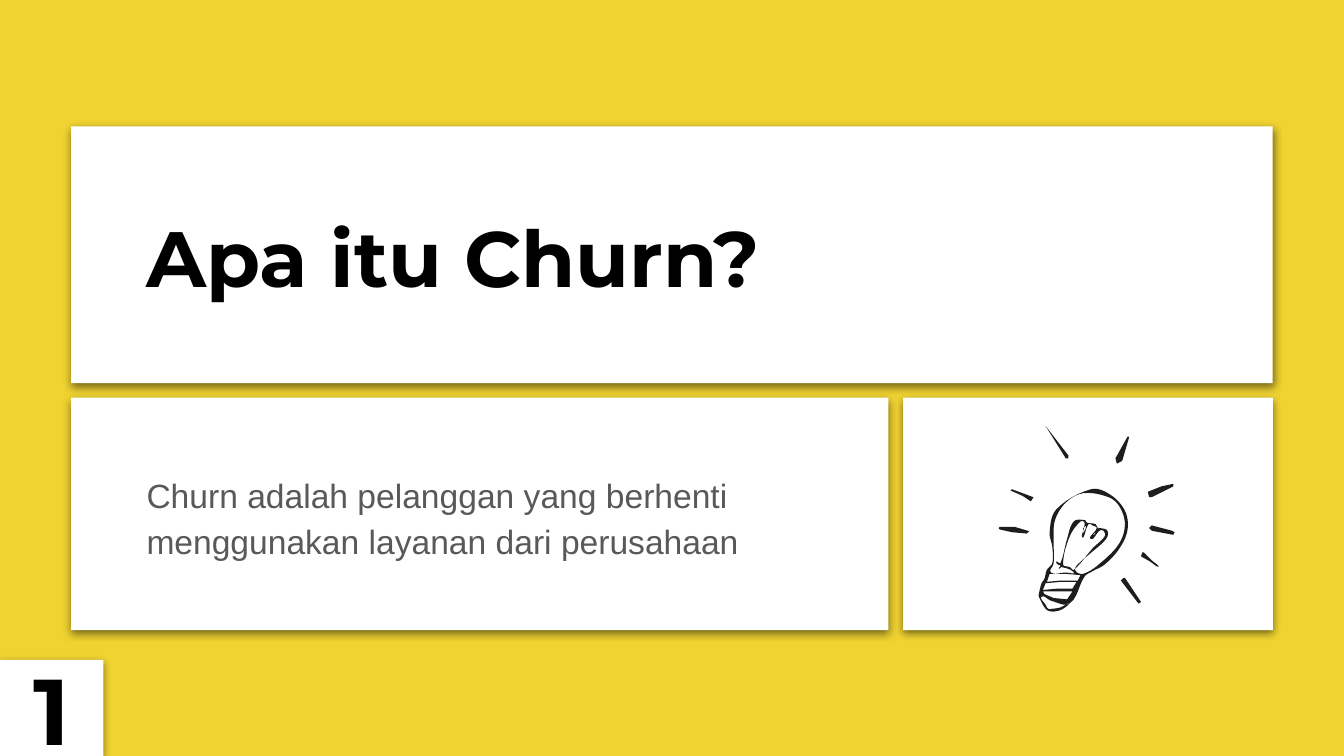
import math
from dataclasses import dataclass

import pptx
import pptx.dml.color
import pptx.enum.shapes
import pptx.enum.text
import pptx.oxml
import pptx.oxml.ns
import pptx.util
from pptx.util import Inches

SHAPE = pptx.enum.shapes.MSO_SHAPE
ALIGN = pptx.enum.text.PP_ALIGN


@dataclass(frozen=True)
class Theme:
    background: str = "F0D331"
    card: str = "FFFFFF"
    ink: str = "1D1D1B"
    heading: str = "000000"
    body: str = "595959"
    heading_font: str = "Montserrat"
    body_font: str = "Arial"
    title_size: int = 42
    body_size: int = 18
    number_size: int = 50


THEME = Theme()

PAGE_WIDTH = 10
PAGE_HEIGHT = PAGE_WIDTH * 9 / 16
LEFT, RIGHT = 0.53, 9.47
TOP_ROW, TOP_HEIGHT = 0.94, 1.91
LOWER_ROW, LOWER_HEIGHT = 2.96, 1.73
ICON_CARD_LEFT, GAP = 6.72, 0.11
TEXT_LEFT, TEXT_WIDTH = 0.99, 5.25

RAYS = [
    [(8.4, 3.25), (8.39, 3.25), (8.3, 3.41), (8.31, 3.45), (8.35, 3.43), (8.4, 3.26)],
    [(8.73, 3.6), (8.64, 3.62), (8.54, 3.66), (8.55, 3.7), (8.57, 3.7), (8.73, 3.62)],
    [(7.66, 3.95), (7.65, 3.95), (7.55, 3.92), (7.44, 3.92), (7.43, 3.93),
     (7.44, 3.94), (7.53, 3.96), (7.64, 3.97)],
    [(7.69, 3.7), (7.53, 3.64), (7.52, 3.65), (7.61, 3.69), (7.67, 3.73)],
    [(7.78, 3.17), (7.93, 3.41), (7.95, 3.41), (7.95, 3.39)],
    [(8.72, 3.95), (8.57, 3.91), (8.55, 3.93), (8.57, 3.95), (8.73, 3.98), (8.74, 3.96)],
    [(8.36, 4.3), (8.34, 4.32), (8.47, 4.49), (8.49, 4.48), (8.37, 4.3)],
    [(8.5, 4.11), (8.49, 4.14), (8.56, 4.18), (8.6, 4.21), (8.62, 4.22),
     (8.62, 4.21), (8.57, 4.17), (8.51, 4.11)],
]

BULB_OUTLINE = [
    (8.26, 3.68), (8.12, 3.64), (7.86, 3.79), (7.81, 3.96), (7.83, 4.07),
    (7.83, 4.19), (7.79, 4.24), (7.77, 4.31), (7.75, 4.34), (7.73, 4.42),
    (7.73, 4.44), (7.78, 4.53), (7.82, 4.55), (7.89, 4.54), (7.95, 4.5),
    (7.95, 4.49), (7.89, 4.52), (7.83, 4.53), (7.8, 4.53), (7.78, 4.5),
    (7.75, 4.44), (7.82, 4.47), (7.96, 4.49), (8.07, 4.29), (8.13, 4.25),
    (8.22, 4.2), (8.33, 4.08), (8.39, 3.94), (8.37, 3.8),
]
GLASS = [
    (8.25, 3.7), (8.33, 3.77), (8.37, 3.9), (8.33, 4.04), (8.2, 4.18), (8.06, 4.27),
    (8, 4.24), (8.04, 4.18), (8.11, 4.12), (8.23, 4.01), (8.24, 3.95),
    (8.19, 3.93), (8.17, 3.93), (8.15, 3.9), (8.09, 3.89), (8.07, 3.87),
    (7.99, 3.88), (7.94, 4.01), (7.89, 4.19), (7.86, 4.18), (7.87, 4.2),
    (7.89, 4.21), (7.88, 4.23), (7.9, 4.22), (7.99, 4.26), (7.93, 4.26),
    (7.82, 4.26), (7.84, 4.19), (7.84, 4.02), (7.85, 3.87), (7.93, 3.74), (8.06, 3.67),
]
FILAMENT = [
    (8.21, 3.95), (8.22, 3.99), (8.13, 4.08), (7.99, 4.24), (7.96, 4.22),
    (7.91, 4.2), (7.96, 3.99), (8.04, 3.88), (8.07, 3.89), (8.05, 3.99),
    (8.06, 4), (8.1, 3.9), (8.13, 3.91), (8.16, 3.93), (8.11, 4),
    (8.13, 4.01), (8.18, 3.95),
]
FILAMENT_LOOPS = [
    [(8.16, 3.96), (8.13, 3.99), (8.14, 3.97)],
    [(8.08, 3.91), (8.08, 3.93), (8.06, 3.97), (8.06, 3.93)],
]
THREADS = [
    [(8.04, 4.28), (8.02, 4.32), (7.89, 4.32), (7.79, 4.33), (7.81, 4.27), (7.93, 4.27)],
    [(8.01, 4.33), (7.98, 4.38), (7.87, 4.38), (7.76, 4.39), (7.78, 4.34), (7.89, 4.33)],
    [(7.98, 4.4), (7.94, 4.46), (7.84, 4.45), (7.77, 4.42), (7.76, 4.4), (7.87, 4.4)],
]


def color(value):
    return pptx.dml.color.RGBColor.from_string(value)


def paint(shape, fill):
    shape.shadow.inherit = False
    shape.fill.solid()
    shape.fill.fore_color.rgb = color(fill)
    shape.line.fill.background()


def write(shape, text, *, size, font, ink, bold=False, align=ALIGN.LEFT,
          line_spacing=1.0, space_after=0):
    frame = shape.text_frame
    frame.auto_size = pptx.enum.text.MSO_AUTO_SIZE.NONE
    frame.word_wrap = True
    frame.vertical_anchor = pptx.enum.text.MSO_ANCHOR.MIDDLE
    frame.margin_left = frame.margin_right = Inches(0.1)
    frame.margin_top = frame.margin_bottom = Inches(0.1)
    para = frame.paragraphs[0]
    para.alignment = align
    para.line_spacing = line_spacing
    para.space_before = pptx.util.Pt(0)
    para.space_after = pptx.util.Pt(space_after)
    span = para.add_run()
    span.text = text
    span.font.name = font
    span.font.size = pptx.util.Pt(size)
    span.font.bold = bold
    span.font.color.rgb = color(ink)


def add_card(page, left, top, width, height, kind=SHAPE.ROUNDED_RECTANGLE):
    """Add a square-cornered white panel with a soft shadow below it."""
    card = page.shapes.add_shape(
        kind, Inches(left), Inches(top), Inches(width), Inches(height))
    if kind == SHAPE.ROUNDED_RECTANGLE:
        card.adjustments[0] = 0
    paint(card, THEME.card)
    effects = card._element.spPr.find(pptx.oxml.ns.qn("a:effectLst"))
    effects.append(pptx.oxml.parse_xml(
        f'<a:outerShdw {pptx.oxml.ns.nsdecls("a")} blurRad="57150" dist="19050" '
        'dir="5400000" algn="bl" rotWithShape="0">'
        '<a:srgbClr val="000000"><a:alpha val="49000"/></a:srgbClr></a:outerShdw>'))
    return card


def place(page, placeholder, left, top, width, height):
    """Position a placeholder and bring it in front of the cards."""
    placeholder.left, placeholder.top = Inches(left), Inches(top)
    placeholder.width, placeholder.height = Inches(width), Inches(height)
    page.shapes.element.append(placeholder.element)


def rounded(points, steps=6):
    """Return points along a smooth closed curve through the given ones."""
    count = len(points)
    tangents = []
    for i in range(count):
        (ax, ay), (bx, by) = points[i - 1], points[(i + 1) % count]
        length = math.hypot(bx - ax, by - ay) or 1
        tangents.append(((bx - ax) / length, (by - ay) / length))
    curve = []
    for i, start in enumerate(points):
        j = (i + 1) % count
        end = points[j]
        reach = math.dist(start, end)
        for step in range(steps):
            t = step / steps
            weights = (2 * t**3 - 3 * t**2 + 1, 3 * t**2 - 2 * t**3,
                       reach * (t**3 - 2 * t**2 + t), reach * (t**3 - t**2))
            curve.append(tuple(
                sum(w * v[axis] for w, v in
                    zip(weights, (start, end, tangents[i], tangents[j])))
                for axis in (0, 1)))
    return curve


def add_outline(group, contours):
    """Fill the first contour with ink, leaving the later ones as holes."""
    builder = None
    for contour in contours:
        points = [(Inches(x), Inches(y)) for x, y in contour]
        if builder is None:
            builder = group.shapes.build_freeform(*points[0])
        else:
            builder.move_to(*points[0])
        builder.add_line_segments(points[1:], close=True)
    paint(builder.convert_to_shape(), THEME.ink)


def add_light_bulb(page):
    group = page.shapes.add_group_shape()
    for ray in RAYS:
        add_outline(group, [ray])
    curves = [rounded(points) for points in (BULB_OUTLINE, GLASS, FILAMENT)]
    add_outline(group, curves + FILAMENT_LOOPS + THREADS)


def main():
    deck = pptx.Presentation()
    deck.slide_width, deck.slide_height = Inches(PAGE_WIDTH), Inches(PAGE_HEIGHT)
    page = deck.slides.add_slide(deck.slide_layouts[0])
    page.background.fill.solid()
    page.background.fill.fore_color.rgb = color(THEME.background)
    title, subtitle = page.placeholders

    add_card(page, LEFT, LOWER_ROW, ICON_CARD_LEFT - GAP - LEFT, LOWER_HEIGHT)
    add_card(page, LEFT, TOP_ROW, RIGHT - LEFT, TOP_HEIGHT)
    place(page, title, TEXT_LEFT, 1.2, TEXT_WIDTH, 1.41)
    write(title, "Apa itu Churn?", size=THEME.title_size,
          font=THEME.heading_font, ink=THEME.heading, bold=True)
    place(page, subtitle, TEXT_LEFT, 3.36, TEXT_WIDTH, 0.94)
    write(subtitle, "Churn adalah pelanggan yang berhenti menggunakan layanan dari perusahaan",
          size=THEME.body_size, font=THEME.body_font, ink=THEME.body,
          line_spacing=1.15, space_after=12)
    add_card(page, ICON_CARD_LEFT, LOWER_ROW, RIGHT - ICON_CARD_LEFT, LOWER_HEIGHT)

    number = add_card(page, 0, 4.91, 0.77, 0.72, kind=SHAPE.RECTANGLE)
    write(number, "1", size=THEME.number_size, font=THEME.heading_font,
          ink=THEME.heading, bold=True, align=ALIGN.CENTER)
    add_light_bulb(page)
    deck.save("out.pptx")


if __name__ == "__main__":
    main()
